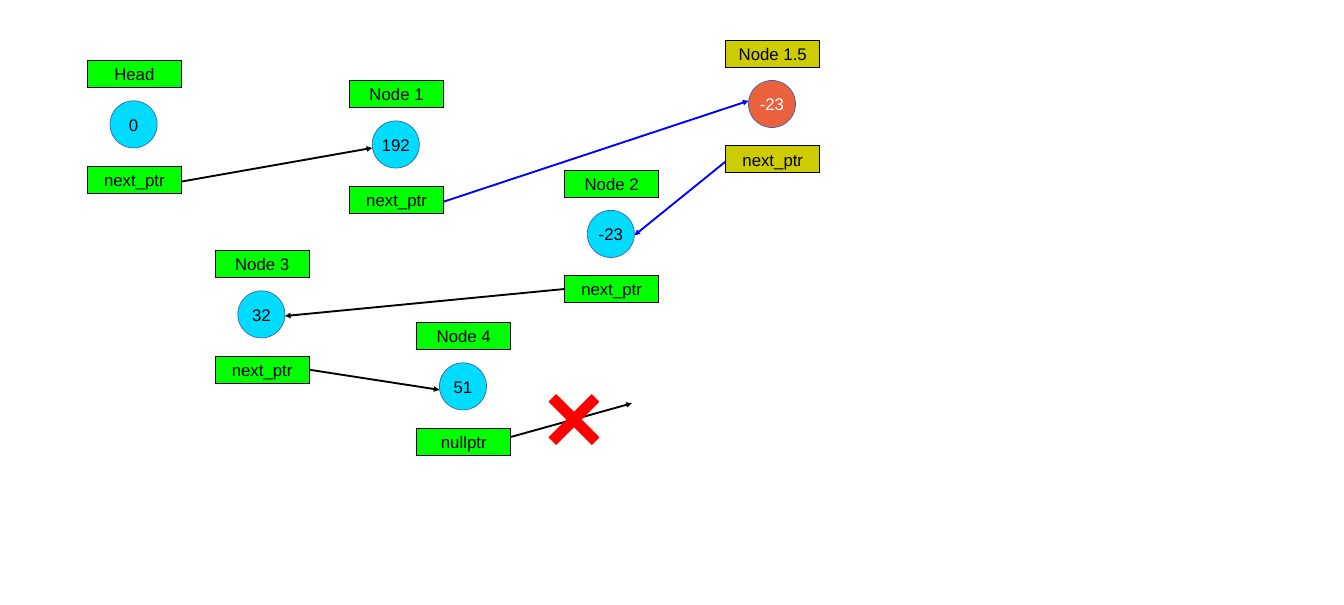
from dataclasses import dataclass

import lxml.etree
import pptx
import pptx.dml.color
import pptx.enum.shapes
import pptx.enum.text
import pptx.oxml.ns
import pptx.util

Cm = pptx.util.Cm
Shapes = pptx.enum.shapes.MSO_SHAPE


@dataclass(frozen=True)
class Theme:
    font: str = "Arial"
    text_size: int = 18
    hairline: int = 0
    black: str = "000000"
    white: str = "FFFFFF"
    green: str = "00FF00"
    cyan: str = "00DCFF"
    olive: str = "CCCC00"
    coral: str = "EB613D"
    outline: str = "3465A4"
    blue: str = "0000FF"
    red: str = "FF0000"


LABEL_WIDTH, LABEL_HEIGHT = 3.56, 1.02
CIRCLE_SIZE, CIRCLE_INDENT = 1.78, 0.86
CIRCLE_DROP, POINTER_DROP = 1.52, 3.99


def rgb(value):
    return pptx.dml.color.RGBColor.from_string(value)


def write(shape, text, *, font, size, color):
    frame = shape.text_frame
    frame.word_wrap = False
    frame.vertical_anchor = pptx.enum.text.MSO_ANCHOR.MIDDLE
    paragraph = frame.paragraphs[0]
    paragraph.alignment = pptx.enum.text.PP_ALIGN.CENTER
    run = paragraph.add_run()
    run.text = text
    run.font.name = font
    run.font.size = pptx.util.Pt(size)
    run.font.color.rgb = rgb(color)


class ListDiagram:
    def __init__(self, slide, theme):
        self.slide = slide
        self.theme = theme

    def shape(self, kind, left, top, width, height, fill, line):
        shape = self.slide.shapes.add_shape(
            kind, Cm(left), Cm(top), Cm(width), Cm(height))
        shape.shadow.inherit = False
        shape.fill.solid()
        shape.fill.fore_color.rgb = rgb(fill)
        shape.line.color.rgb = rgb(line)
        shape.line.width = pptx.util.Pt(self.theme.hairline)
        return shape

    def label(self, text, left, top, fill):
        box = self.shape(Shapes.RECTANGLE, left, top, LABEL_WIDTH,
                         LABEL_HEIGHT, fill, self.theme.black)
        write(box, text, font=self.theme.font, size=self.theme.text_size,
              color=self.theme.black)

    def circle(self, text, left, top, fill, color):
        value = self.shape(Shapes.OVAL, left, top, CIRCLE_SIZE, CIRCLE_SIZE,
                           fill, self.theme.outline)
        write(value, text, font=self.theme.font, size=self.theme.text_size,
              color=color)

    def node(self, title, value, pointer, left, top, label_fill,
             circle_fill, value_color):
        self.circle(value, left + CIRCLE_INDENT, top + CIRCLE_DROP,
                    circle_fill, value_color)
        self.label(title, left, top, label_fill)
        self.label(pointer, left, top + POINTER_DROP, label_fill)

    def arrow(self, start_x, start_y, end_x, end_y, color):
        arrow = self.slide.shapes.add_connector(
            pptx.enum.shapes.MSO_CONNECTOR.STRAIGHT,
            Cm(start_x), Cm(start_y), Cm(end_x), Cm(end_y))
        arrow.line.color.rgb = rgb(color)
        arrow.line.width = pptx.util.Pt(self.theme.hairline)
        qn = pptx.oxml.ns.qn
        properties = arrow.element.spPr
        lxml.etree.SubElement(properties.find(qn("a:ln")), qn("a:tailEnd"),
                              type="triangle")
        lxml.etree.SubElement(properties, qn("a:effectLst"))

    def link(self, source_left, target_left, start_y, end_y, color):
        circle_left = target_left + CIRCLE_INDENT
        if source_left < target_left:
            start_x, end_x = source_left + LABEL_WIDTH, circle_left
        else:
            start_x, end_x = source_left, circle_left + CIRCLE_SIZE
        self.arrow(start_x, start_y, end_x, end_y, color)

    def cross(self, left, top, size):
        cross = self.shape(Shapes.CROSS, left, top, size, size,
                           self.theme.red, self.theme.red)
        cross.adjustments[0] = 0.417
        cross.rotation = 45


def main():
    presentation = pptx.Presentation()
    presentation.slide_width = Cm(50.8)
    presentation.slide_height = Cm(22.86)
    slide = presentation.slides.add_slide(presentation.slide_layouts[6])
    theme = Theme()
    diagram = ListDiagram(slide, theme)

    regular = (theme.green, theme.cyan, theme.black)
    inserted = (theme.olive, theme.coral, theme.white)
    nodes = [
        ("Head", "0", "next_ptr", 3.3, 2.29, regular),
        ("Node 1", "192", "next_ptr", 13.21, 3.05, regular),
        ("Node 3", "32", "next_ptr", 8.13, 9.47, regular),
        ("Node 2", "-23", "next_ptr", 21.34, 6.43, regular),
        ("Node 4", "51", "nullptr", 15.75, 12.19, regular),
        ("Node 1.5", "-23", "next_ptr", 27.43, 1.52, inserted),
    ]
    lefts = {}
    for title, value, pointer, left, top, colors in nodes:
        diagram.node(title, value, pointer, left, top, *colors)
        lefts[title] = left

    links = [
        ("Head", "Node 1", 6.86, 5.59, theme.black),
        ("Node 1", "Node 1.5", 7.62, 3.81, theme.blue),
        ("Node 1.5", "Node 2", 6.1, 8.89, theme.blue),
        ("Node 2", "Node 3", 10.92, 11.94, theme.black),
        ("Node 3", "Node 4", 13.97, 14.73, theme.black),
    ]
    for source, target, start_y, end_y, color in links:
        diagram.link(lefts[source], lefts[target], start_y, end_y, color)

    diagram.arrow(lefts["Node 4"] + LABEL_WIDTH, 16.51, 23.88, 15.24,
                  theme.black)
    diagram.cross(20.55, 14.71, 2.29)
    presentation.save("out.pptx")


if __name__ == "__main__":
    main()
